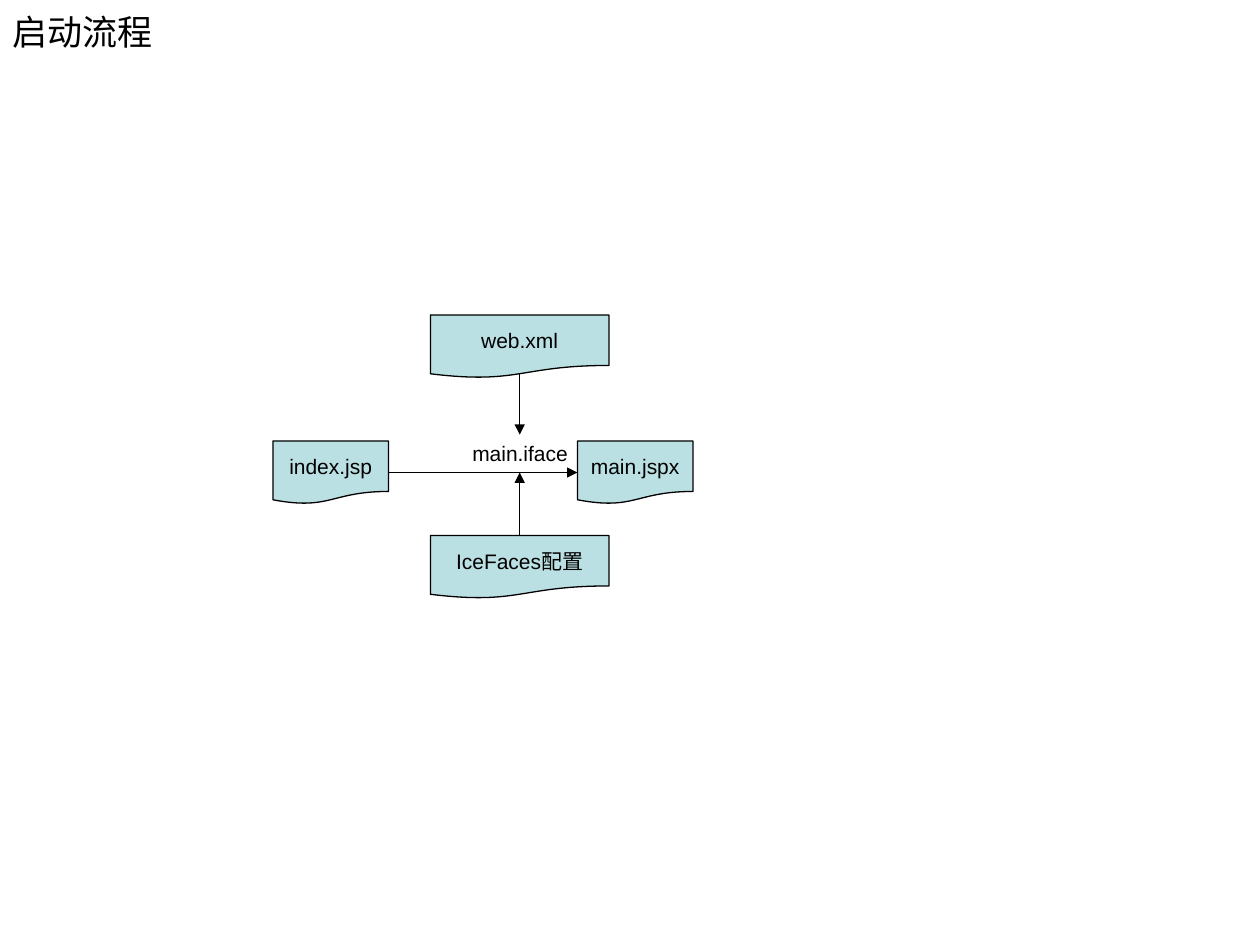
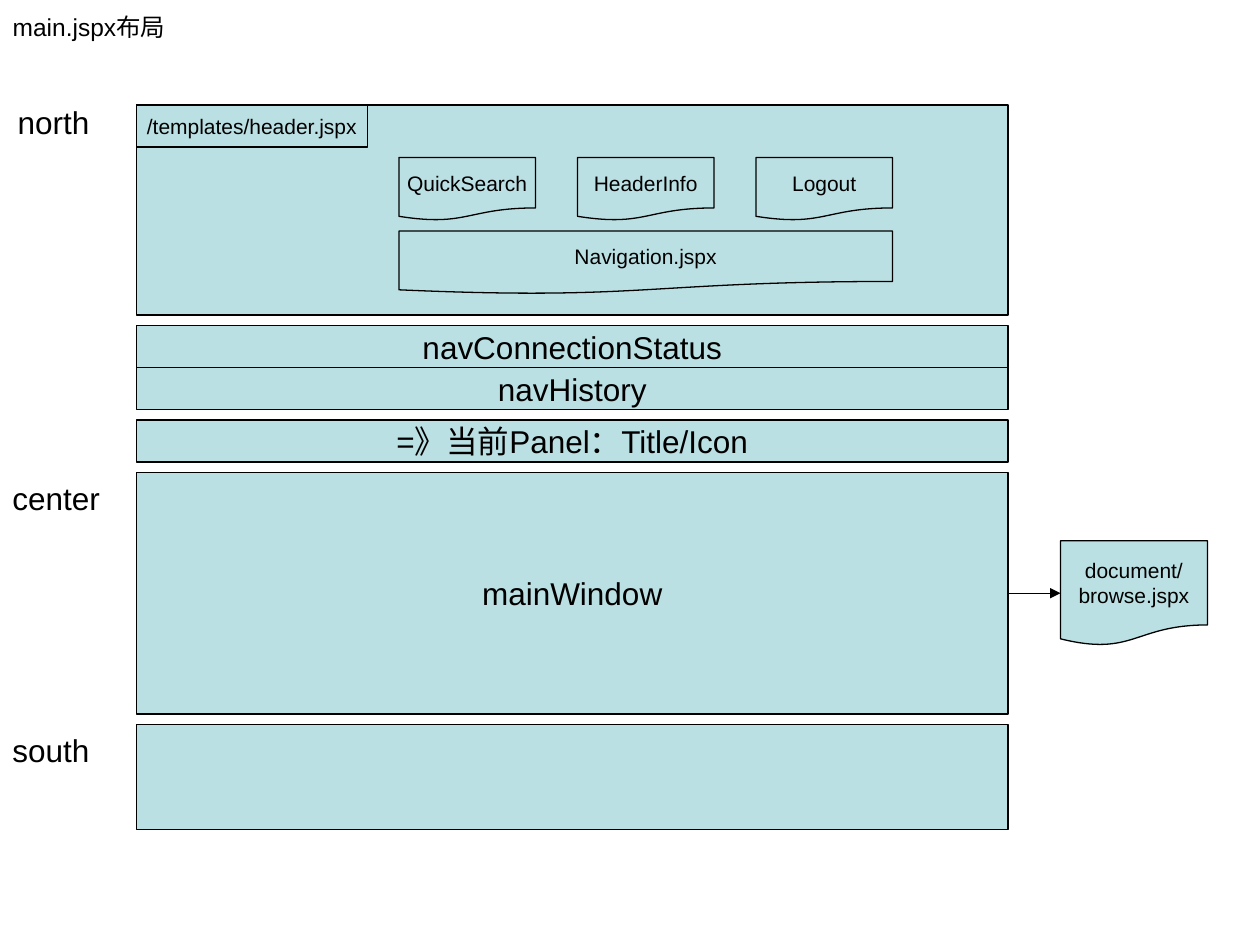
"""Build two slides on the start-up flow and the main page layout."""
from pptx import Presentation
from pptx import util as u
from pptx.dml import color
from pptx.enum import shapes, text
from pptx.oxml import ns, xmlchemy

EMU_PER_PX = 7620
INK = "000000"
PANEL = "BBE0E3"
FONT = "Arial"
DOCUMENT = shapes.MSO_SHAPE.FLOWCHART_DOCUMENT
PROCESS = shapes.MSO_SHAPE.FLOWCHART_PROCESS


def px(*lengths):
    return [u.Emu(length * EMU_PER_PX) for length in lengths]


def rgb(value):
    return color.RGBColor.from_string(value)


class Diagram:
    def __init__(self):
        self.deck = Presentation()
        self.deck.slide_width, self.deck.slide_height = px(1200, 900)
        self.page = None

    def add_page(self, title, height, size):
        self.page = self.deck.slides.add_slide(self.deck.slide_layouts[5])
        box = self.page.shapes.title
        box.left, box.top, box.width, box.height = px(0, 0, 1080, height)
        self.set_lines(box, [title], size, wrap=True)

    def set_lines(self, box, lines, size, align=text.PP_ALIGN.LEFT,
                  anchor=text.MSO_ANCHOR.MIDDLE, wrap=False, fit=text.MSO_AUTO_SIZE.NONE):
        frame = box.text_frame
        frame.word_wrap = wrap
        frame.auto_size = fit
        frame.vertical_anchor = anchor
        for index, line in enumerate(lines):
            para = frame.add_paragraph() if index else frame.paragraphs[0]
            para.alignment = align
            span = para.add_run()
            span.text = line
            span.font.name = FONT
            span.font.size = u.Pt(size)
            span.font.color.rgb = rgb(INK)

    def outline(self, line):
        line.color.rgb = rgb(INK)
        line.width = u.Pt(0.75)

    def block(self, kind, left, top, width, height, lines=(), size=12):
        box = self.page.shapes.add_shape(kind, *px(left, top, width, height))
        box.shadow.inherit = False
        box.fill.solid()
        box.fill.fore_color.rgb = rgb(PANEL)
        self.outline(box.line)
        self.set_lines(box, lines, size, text.PP_ALIGN.CENTER)

    def label(self, left, top, width, height, words, size):
        box = self.page.shapes.add_textbox(*px(left, top, width, height))
        self.set_lines(box, [words], size, anchor=text.MSO_ANCHOR.TOP,
                       fit=text.MSO_AUTO_SIZE.SHAPE_TO_FIT_TEXT)

    def arrow(self, *ends):
        arrow = self.page.shapes.add_connector(shapes.MSO_CONNECTOR.STRAIGHT, *px(*ends))
        self.outline(arrow.line)
        head = xmlchemy.OxmlElement("a:tailEnd")
        head.set("type", "triangle")
        properties = arrow._element.spPr
        properties.find(ns.qn("a:ln")).append(head)
        properties.append(xmlchemy.OxmlElement("a:effectLst"))


def build_startup_flow(diagram):
    diagram.add_page("启动流程", 60, 20)
    for left, top, width, name in (
        (260, 420, 110, "index.jsp"),
        (550, 420, 110, "main.jspx"),
        (410, 300, 170, "web.xml"),
        (410, 510, 170, "IceFaces配置"),
    ):
        diagram.block(DOCUMENT, left, top, width, 60, [name])
    diagram.label(438, 414, 115, 36, "main.iface", 12)
    diagram.arrow(370, 450, 550, 450)
    diagram.arrow(495, 356, 495, 414)
    diagram.arrow(495, 510, 495, 450)


def build_page_layout(diagram):
    diagram.add_page("main.jspx布局", 50, 14)
    for top, height, lines in (
        (100, 200, []),
        (310, 40, ["navConnectionStatus"]),
        (350, 40, ["navHistory"]),
        (400, 40, ["=》当前Panel：Title/Icon"]),
        (450, 230, ["mainWindow"]),
        (690, 100, []),
    ):
        diagram.block(PROCESS, 130, top, 830, height, lines, 18)
    for left, top, width, region in (
        (5, 92, 92, "north"),
        (0, 450, 107, "center"),
        (0, 690, 97, "south"),
    ):
        diagram.label(left, top, width, 48, region, 18)
    diagram.block(PROCESS, 130, 100, 220, 40, ["/templates/header.jspx"])
    for column, name in enumerate(("QuickSearch", "HeaderInfo", "Logout")):
        diagram.block(DOCUMENT, 380 + 170 * column, 150, 130, 60, [name])
    diagram.block(DOCUMENT, 380, 220, 470, 60, ["Navigation.jspx"])
    diagram.block(DOCUMENT, 1010, 515, 140, 100, ["document/", "browse.jspx"])
    diagram.arrow(960, 565, 1010, 565)


def main():
    diagram = Diagram()
    build_startup_flow(diagram)
    build_page_layout(diagram)
    diagram.deck.save("out.pptx")


if __name__ == "__main__":
    main()
